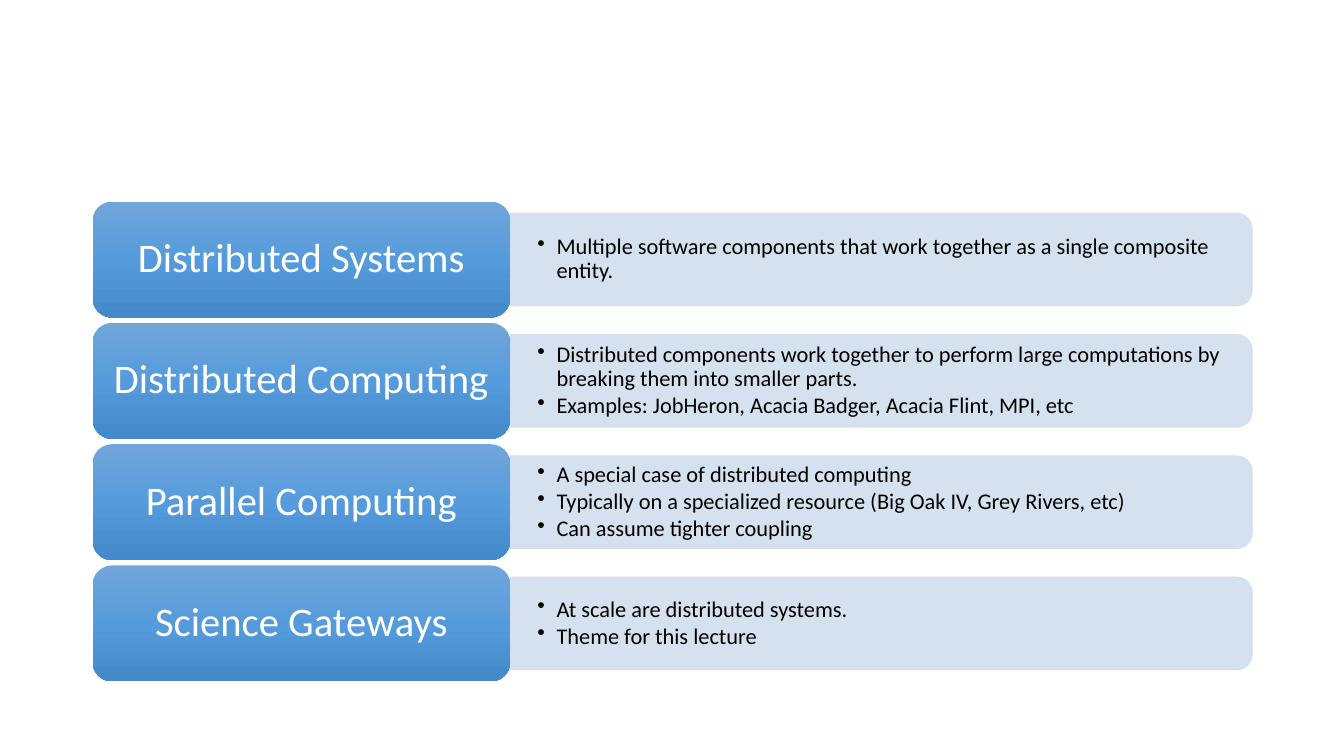
from copy import deepcopy

from pptx import Presentation
from pptx.dml.color import RGBColor
from pptx.enum.shapes import MSO_SHAPE as Shape
from pptx.enum.text import MSO_ANCHOR as Anchor, PP_ALIGN as Align
from pptx.oxml.ns import qn
from pptx.oxml.xmlchemy import OxmlElement
from pptx.util import Inches, Pt

COLORS = {
    "tile_top": "71A6DB",
    "tile_middle": "559BDB",
    "tile_bottom": "448ACA",
    "panel": "D2DEEF",
    "label": "FFFFFF",
    "detail": "000000",
}
TOPICS = [
    ("Distributed Systems", [
        "Multiple software components that work together as a single composite entity.",
    ]),
    ("Distributed Computing", [
        "Distributed components work together to perform large computations by "
        "breaking them into smaller parts.",
        "Examples: JobHeron, Acacia Badger, Acacia Flint, MPI, etc",
    ]),
    ("Parallel Computing", [
        "A special case of distributed computing",
        "Typically on a specialized resource (Big Oak IV, Grey Rivers, etc)",
        "Can assume tighter coupling",
    ]),
    ("Science Gateways", [
        "At scale are distributed systems.",
        "Theme for this lecture",
    ]),
]
LEFT, FIRST_TOP, LAST_TOP = 0.92, 2, 5.61
TILE_WIDTH, TILE_HEIGHT = 4.14, 1.15
PANEL_WIDTH, PANEL_HEIGHT = 7.36, 0.92
DETAIL_WIDTH, DETAIL_HEIGHT = 7.32, 0.83


class TopicSlide:
    """Holds the text style and the page that receives the topic rows."""

    font = "Calibri"
    label_size, detail_size = 29, 16

    def __init__(self, page):
        self.page = page

    def color(self, name):
        return RGBColor.from_string(COLORS[name])

    def shape(self, kind, left, top, width, height):
        box = self.page.shapes.add_shape(
            kind, Inches(left), Inches(top), Inches(width), Inches(height))
        box.shadow.inherit = False
        return box

    def frame(self, box, side, edge):
        """Set wrapping, middle anchor and insets of a box's text."""
        frame = box.text_frame
        frame.word_wrap = True
        frame.vertical_anchor = Anchor.MIDDLE
        frame.margin_left = frame.margin_right = Inches(side)
        frame.margin_top = frame.margin_bottom = Inches(edge)
        return frame

    def style(self, para, size, color):
        para.line_spacing = 0.9
        for span in para.runs:
            span.font.name = self.font
            span.font.size = Pt(size)
            span.font.color.rgb = self.color(color)

    def panel(self, left, middle):
        """Draw a bar, turned a quarter so that its round corners face right."""
        box = self.shape(
            Shape.ROUND_2_SAME_RECTANGLE,
            left + (PANEL_WIDTH - PANEL_HEIGHT) / 2, middle - PANEL_WIDTH / 2,
            PANEL_HEIGHT, PANEL_WIDTH)
        box.rotation = 90
        box.fill.solid()
        box.fill.fore_color.rgb = self.color("panel")
        box.line.color.rgb = self.color("panel")
        box.line.width = Pt(0.5)
        for color in box._element.spPr.iter(qn("a:srgbClr")):
            alpha = OxmlElement("a:alpha")
            alpha.set("val", "90000")
            color.append(alpha)

    def tile(self, left, top, label):
        box = self.shape(Shape.ROUNDED_RECTANGLE, left, top, TILE_WIDTH, TILE_HEIGHT)
        box.line.fill.background()
        box.fill.gradient()
        box.fill.gradient_angle = 270
        stops = box._element.spPr.find(".//" + qn("a:gsLst"))
        stops.insert(1, deepcopy(stops[0]))
        names = ("tile_top", "tile_middle", "tile_bottom")
        for index, (stop, name) in enumerate(zip(box.fill.gradient_stops, names)):
            stop.position = index / 2
            stop.color.rgb = self.color(name)
        frame = self.frame(box, 0.12, 0.06)
        frame.text = label
        para = frame.paragraphs[0]
        para.alignment = Align.CENTER
        self.style(para, self.label_size, "label")

    def details(self, left, middle, lines):
        box = self.page.shapes.add_textbox(
            Inches(left), Inches(middle - DETAIL_HEIGHT / 2),
            Inches(DETAIL_WIDTH), Inches(DETAIL_HEIGHT))
        frame = self.frame(box, 0.27, 0.14)
        frame.text = "\n".join(lines)
        for para in frame.paragraphs:
            para.level = 1
            para.space_after = Pt(2)
            self.style(para, self.detail_size, "detail")
            self.bullet(para)

    def bullet(self, para):
        settings = para._p.get_or_add_pPr()
        settings.set("marL", str(Inches(0.19)))
        settings.set("indent", str(-Inches(0.19)))
        mark = OxmlElement("a:buChar")
        mark.set("char", "•")
        settings.append(mark)


def main():
    deck = Presentation()
    deck.slide_width, deck.slide_height = Inches(13.33), Inches(7.5)
    slide = TopicSlide(deck.slides.add_slide(deck.slide_layouts[6]))
    pitch = (LAST_TOP - FIRST_TOP) / (len(TOPICS) - 1)
    for row, (label, lines) in enumerate(TOPICS):
        top = FIRST_TOP + row * pitch
        middle = top + TILE_HEIGHT / 2
        slide.panel(LEFT + TILE_WIDTH, middle)
        slide.details(LEFT + TILE_WIDTH, middle, lines)
        slide.tile(LEFT, top, label)
    deck.save("out.pptx")


if __name__ == "__main__":
    main()
